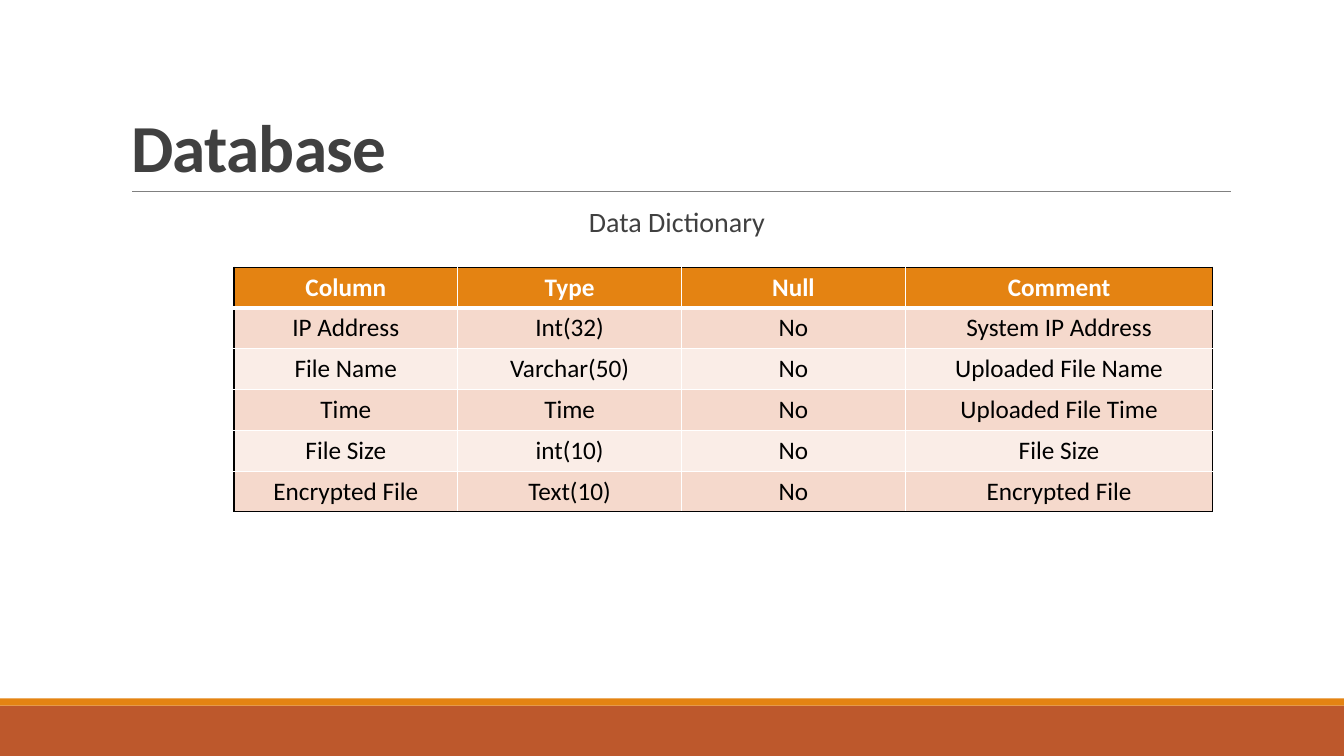
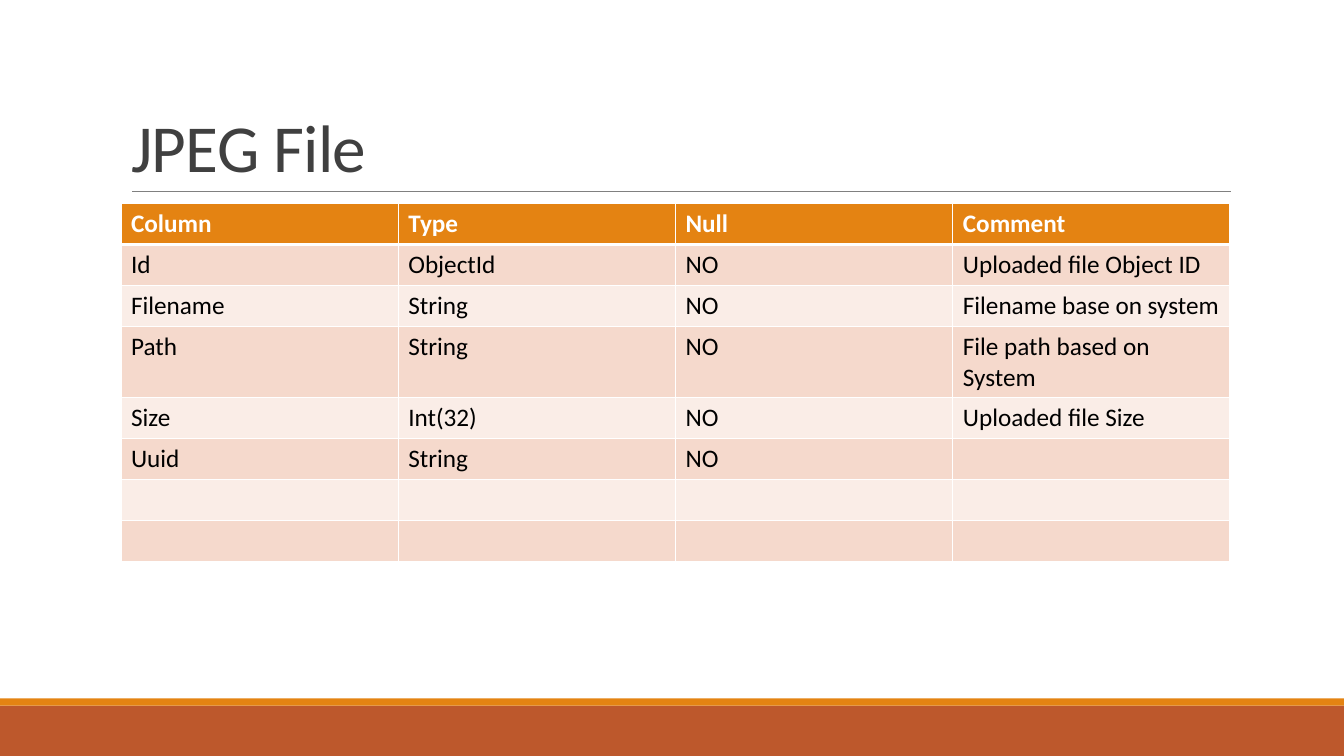
from lxml import etree
from pptx import Presentation
from pptx.dml.color import RGBColor
from pptx.enum.shapes import MSO_CONNECTOR, MSO_SHAPE
from pptx.enum.text import MSO_ANCHOR, MSO_AUTO_SIZE, PP_ALIGN
from pptx.oxml.ns import qn
from pptx.util import Inches, Pt

LEFT, CENTER = PP_ALIGN.LEFT, PP_ALIGN.CENTER
BOTTOM, NO_AUTOFIT = MSO_ANCHOR.BOTTOM, MSO_AUTO_SIZE.NONE
RECTANGLE, STRAIGHT = MSO_SHAPE.RECTANGLE, MSO_CONNECTOR.STRAIGHT
TITLE_ONLY = 5

RUST, ORANGE, GRAY, INK = "BD582C", "E48312", "808080", "404040"
WHITE, BLACK = "FFFFFF", "000000"
ROW_FILLS = ["FAEDE7", "F5D9CC"]
TITLE_FRAME = {"vertical_anchor": BOTTOM, "auto_size": NO_AUTOFIT, "word_wrap": True}
CAPTION_FRAME = {"word_wrap": True, "margin_left": Inches(0.03), "margin_right": 0}

UNIT = Inches(0.1)
MARGIN = 12 * UNIT
CONTENT_WIDTH = 110 * UNIT
CONTENT_TOP = 20.2 * UNIT
RULE_TOP = 19 * UNIT
BAND_TOP = 70 * UNIT
STRIPE_HEIGHT = 0.7 * UNIT
ROW_HEIGHT = 4.05 * UNIT

SLIDES = [
    {
        "title": "Database",
        "bold": True,
        "caption": "Data Dictionary",
        "left": 23.2 * UNIT,
        "top": 26.5 * UNIT,
        "columns": [22.2, 22.2, 22.2, 30.5],
        "align": CENTER,
        "outline": BLACK,
        "rows": [
            ["Column", "Type", "Null", "Comment"],
            ["IP Address", "Int(32)", "No", "System IP Address"],
            ["File Name", "Varchar(50)", "No", "Uploaded File Name"],
            ["Time", "Time", "No", "Uploaded File Time"],
            ["File Size", "int(10)", "No", "File Size"],
            ["Encrypted File", "Text(10)", "No", "Encrypted File"],
        ],
    },
    {
        "title": "JPEG File",
        "bold": False,
        "caption": "",
        "left": MARGIN,
        "top": CONTENT_TOP,
        "columns": [27.5] * 4,
        "align": LEFT,
        "outline": WHITE,
        "rows": [
            ["Column", "Type", "Null", "Comment"],
            ["Id", "ObjectId", "NO", "Uploaded file Object ID"],
            ["Filename", "String", "NO", "Filename base on system"],
            ["Path", "String", "NO", "File path based on System"],
            ["Size", "Int(32)", "NO", "Uploaded file Size"],
            ["Uuid", "String", "NO", ""],
            [""] * 4,
            [""] * 4,
        ],
    },
]


def color(value):
    return RGBColor.from_string(value)


def write(paragraph, text, size, ink, bold, align):
    paragraph.alignment = align
    run = paragraph.add_run()
    run.text = text
    for name, value in {"name": "Calibri", "size": Pt(size), "bold": bold}.items():
        setattr(run.font, name, value)
    run.font.color.rgb = color(ink)
    return run


presentation = Presentation()
presentation.slide_width = Inches(13.33)
presentation.slide_height = Inches(7.5)
width, height = presentation.slide_width, presentation.slide_height
bands = [
    (BAND_TOP, height - BAND_TOP, RUST),
    (BAND_TOP - STRIPE_HEIGHT, STRIPE_HEIGHT, ORANGE),
]

for content in SLIDES:
    slide = presentation.slides.add_slide(presentation.slide_layouts[TITLE_ONLY])

    for top, band_height, fill in bands:
        band = slide.shapes.add_shape(RECTANGLE, 0, int(top), width, int(band_height))
        band.shadow.inherit = False
        band.fill.solid()
        band.fill.fore_color.rgb = color(fill)
        band.line.fill.background()

    rule = slide.shapes.add_connector(
        STRAIGHT, int(MARGIN + 1.1 * UNIT), RULE_TOP, int(MARGIN + 110.1 * UNIT), RULE_TOP
    )
    rule.line.color.rgb = color(GRAY)
    rule.line.width = Pt(0.5)
    etree.SubElement(rule.element.spPr, qn("a:effectLst"))

    title = slide.shapes.title
    title.left, title.top = MARGIN, int(3.1 * UNIT)
    title.width, title.height = CONTENT_WIDTH, int(15.9 * UNIT)
    for name, value in TITLE_FRAME.items():
        setattr(title.text_frame, name, value)
    paragraph = title.text_frame.paragraphs[0]
    paragraph.line_spacing = 0.85
    run = write(paragraph, content["title"], 48, INK, content["bold"], LEFT)
    run.font._element.set("spc", "-50")

    if content["caption"]:
        caption = slide.shapes.add_textbox(
            MARGIN, int(CONTENT_TOP), CONTENT_WIDTH, int(ROW_HEIGHT)
        )
        for name, value in CAPTION_FRAME.items():
            setattr(caption.text_frame, name, value)
        paragraph = caption.text_frame.paragraphs[0]
        paragraph.line_spacing = 0.9
        write(paragraph, content["caption"], 20, INK, False, CENTER)

    rows, columns = content["rows"], content["columns"]
    table = slide.shapes.add_table(
        len(rows), len(columns), int(content["left"]), int(content["top"]),
        int(sum(columns) * UNIT), int(len(rows) * ROW_HEIGHT),
    ).table
    table.first_row = table.horz_banding = False
    for column, units in zip(table.columns, columns):
        column.width = int(units * UNIT)

    last_row, last_column = len(rows) - 1, len(columns) - 1
    for row_index, row in enumerate(rows):
        table.rows[row_index].height = int(ROW_HEIGHT)
        header = row_index == 0
        for column_index, text in enumerate(row):
            cell = table.cell(row_index, column_index)
            borders = [
                ("a:lnL", column_index == 0, 1),
                ("a:lnR", column_index == last_column, 1),
                ("a:lnT", header, 3 if row_index == 1 else 1),
                ("a:lnB", row_index == last_row, 3 if header else 1),
            ]
            properties = cell._tc.get_or_add_tcPr()
            for tag, outer, points in borders:
                border = etree.SubElement(properties, qn(tag), w=str(Pt(points)))
                fill = etree.SubElement(border, qn("a:solidFill"))
                ink = content["outline"] if outer else WHITE
                etree.SubElement(fill, qn("a:srgbClr"), val=ink)
            cell.fill.solid()
            cell.fill.fore_color.rgb = color(ORANGE if header else ROW_FILLS[row_index % 2])
            if text:
                paragraph = cell.text_frame.paragraphs[0]
                write(paragraph, text, 18, WHITE if header else BLACK, header, content["align"])

presentation.save("out.pptx")
